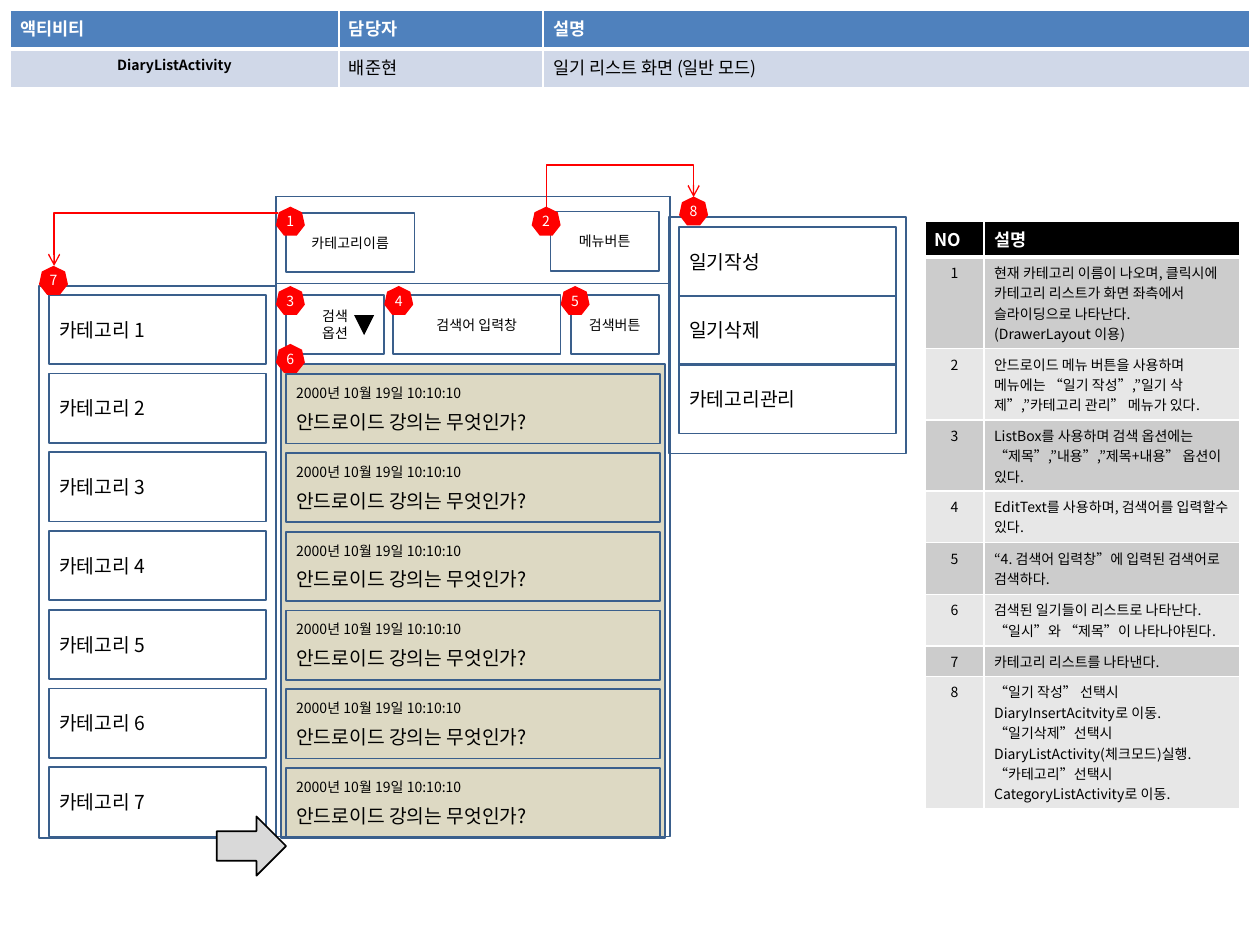
import lxml.etree
import pptx
import pptx.dml.color
import pptx.enum.shapes
import pptx.enum.text
import pptx.oxml.ns
import pptx.util

Inches = pptx.util.Inches
Pt = pptx.util.Pt
Shapes = pptx.enum.shapes.MSO_SHAPE
Align = pptx.enum.text.PP_ALIGN
FONT = "Noto Sans CJK KR"
BORDER = "3A5F8C"
RED = "FF0000"
ROW_PITCH = 0.625


def color(value):
    return pptx.dml.color.RGBColor.from_string(value)


def add_element(parent, tag, **attributes):
    return lxml.etree.SubElement(parent, pptx.oxml.ns.qn(tag), **attributes)


def write_text(paragraph, text, size=8, color_hex="000000", bold=False,
               align=Align.LEFT, space_before=0):
    paragraph.alignment = align
    paragraph.space_before = Pt(space_before)
    run = paragraph.add_run()
    run.text = text
    run.font.size = Pt(size)
    run.font.bold = bold
    run.font.color.rgb = color(color_hex)
    run.font.name = FONT
    add_element(run.font._element, "a:ea", typeface=FONT)


def set_insets(target, horizontal=0.08, vertical=0.04):
    target.margin_left = target.margin_right = Inches(horizontal)
    target.margin_top = target.margin_bottom = Inches(vertical)


def add_preset(slide, kind, left, top, width, height, fill=None, line=None):
    shape = slide.shapes.add_shape(
        kind, Inches(left), Inches(top), Inches(width), Inches(height))
    shape.shadow.inherit = False
    if fill:
        shape.fill.solid()
        shape.fill.fore_color.rgb = color(fill)
    else:
        shape.fill.background()
    if line:
        shape.line.color.rgb = color(line)
        shape.line.width = Pt(1)
    else:
        shape.line.fill.background()
    return shape


def add_frame(slide, left, top, width, height, fill=None):
    return add_preset(slide, Shapes.RECTANGLE, left, top, width, height, fill, BORDER)


def add_box(slide, left, top, width, height, lines, **text_format):
    frame = add_frame(slide, left, top, width, height).text_frame
    frame.word_wrap = True
    frame.vertical_anchor = pptx.enum.text.MSO_ANCHOR.MIDDLE
    set_insets(frame)
    for index, line in enumerate(lines):
        paragraph = frame.add_paragraph() if index else frame.paragraphs[0]
        write_text(paragraph, line, **text_format)
    return frame


def add_badge(slide, left, top, number):
    badge = add_preset(slide, Shapes.HEPTAGON, left, top, 0.23, 0.23, RED)
    frame = badge.text_frame
    frame.word_wrap = False
    frame.vertical_anchor = pptx.enum.text.MSO_ANCHOR.MIDDLE
    set_insets(frame, 0, 0)
    write_text(frame.paragraphs[0], str(number), color_hex="FFFFFF", align=Align.CENTER)


def set_borders(cell, bottom_width):
    properties = cell._tc.get_or_add_tcPr()
    for side in "LRTB":
        width = bottom_width if side == "B" else 1
        line = add_element(properties, f"a:ln{side}", w=str(Pt(width)))
        add_element(add_element(line, "a:solidFill"), "a:srgbClr", val="FFFFFF")


def add_grid(slide, left, top, widths, heights, rows, header_fill, band_fills, cell_format):
    table = slide.shapes.add_table(
        len(rows), len(widths), Inches(left), Inches(top),
        Inches(sum(widths)), Inches(sum(heights))).table
    for column, width in zip(table.columns, widths):
        column.width = Inches(width)
    for row_index, (row, height) in enumerate(zip(rows, heights)):
        table.rows[row_index].height = Inches(height)
        for column_index, text in enumerate(row):
            cell = table.cell(row_index, column_index)
            set_insets(cell)
            set_borders(cell, 1 if row_index else 3)
            cell.fill.solid()
            cell.fill.fore_color.rgb = color(
                band_fills[(row_index - 1) % len(band_fills)] if row_index else header_fill)
            text_format = (cell_format[column_index] if row_index else
                           {"size": 10, "color_hex": "FFFFFF", "bold": True})
            for line_index, line in enumerate(text.split("\n")):
                frame = cell.text_frame
                paragraph = frame.add_paragraph() if line_index else frame.paragraphs[0]
                write_text(paragraph, line, **text_format)


def add_elbow_arrow(slide, start, end, preset, rotation=0, bend=None):
    connector = slide.shapes.add_connector(
        pptx.enum.shapes.MSO_CONNECTOR.ELBOW,
        Inches(start[0]), Inches(start[1]), Inches(end[0]), Inches(end[1]))
    connector.line.color.rgb = color(RED)
    connector.line.width = Pt(0.75)
    add_element(connector.line._get_or_add_ln(), "a:tailEnd", type="arrow")
    properties = connector._element.spPr
    add_element(properties, "a:effectLst")
    geometry = properties.find(pptx.oxml.ns.qn("a:prstGeom"))
    geometry.set("prst", preset)
    if rotation:
        properties.find(pptx.oxml.ns.qn("a:xfrm")).set("rot", str(rotation * 60000))
    if bend:
        adjustments = geometry.find(pptx.oxml.ns.qn("a:avLst"))
        add_element(adjustments, "a:gd", name="adj1", fmla=f"val {round(bend * 100000)}")


def add_tables(slide):
    add_grid(
        slide, 0.08, 0.08, [2.61, 1.62, 5.61], [0.31, 0.31],
        [["액티비티", "담당자", "설명"],
         ["DiaryListActivity", "배준현", "일기 리스트 화면 (일반 모드)"]],
        "4F81BD", ["D0D8E8"],
        [{"bold": True, "align": Align.CENTER}, {"size": 10}, {"size": 10}])
    descriptions = [
        "현재 카테고리 이름이 나오며, 클릭시에 카테고리 리스트가 화면 좌측에서 슬라이딩으로 나타난다. (DrawerLayout 이용)",
        "안드로이드 메뉴 버튼을 사용하며 메뉴에는 “일기 작성”,”일기 삭제”,”카테고리 관리” 메뉴가 있다.",
        "ListBox를 사용하며 검색 옵션에는 “제목”,”내용”,”제목+내용” 옵션이 있다.",
        "EditText를 사용하며, 검색어를 입력할수 있다.",
        "“4. 검색어 입력창”에 입력된 검색어로 검색하다.",
        "검색된 일기들이 리스트로 나타난다.\n“일시”와 “제목”이 나타나야된다.",
        "카테고리 리스트를 나타낸다.",
        "“일기 작성” 선택시 DiaryInsertAcitvity로 이동.\n"
        "“일기삭제”선택시 DiaryListActivity(체크모드)실행.\n"
        "“카테고리”선택시 CategoryListActivity로 이동.",
    ]
    numbered = [[str(number), text] for number, text in enumerate(descriptions, 1)]
    add_grid(
        slide, 7.34, 1.76, [0.47, 2.03], [0.27] + [0.41] * 6 + [0.2] * 2,
        [["NO", "설명"]] + numbered, "000000", ["CCCCCC", "E7E7E7"],
        [{"align": Align.CENTER}, {}])


def add_diary_screen(slide):
    add_frame(slide, 2.19, 1.56, 3.13, 5.08)
    add_frame(slide, 2.19, 1.56, 3.13, 0.69)
    for left, top, width, lines in [
            (2.27, 1.69, 1.02, ["카테고리이름"]), (4.37, 1.68, 0.86, ["메뉴버튼"]),
            (3.12, 2.34, 1.33, ["검색어 입력창"]), (4.53, 2.34, 0.7, ["검색버튼"]),
            (2.27, 2.34, 0.78, ["검색", "옵션"])]:
        add_box(slide, left, top, width, 0.47, lines, align=Align.CENTER)
    for index in range(6):
        frame = add_box(slide, 2.27, 2.97 + index * ROW_PITCH, 2.97, 0.55,
                        ["2000년 10월 19일 10:10:10"])
        write_text(frame.add_paragraph(), "안드로이드 강의는 무엇인가?", size=11, space_before=5)
    triangle = add_preset(slide, Shapes.ISOSCELES_TRIANGLE, 2.81, 2.5, 0.16, 0.16, "000000")
    triangle.rotation = 180


def add_category_drawer(slide):
    add_frame(slide, 0.31, 2.27, 1.88, 4.38)
    for index in range(7):
        add_box(slide, 0.39, 2.34 + index * ROW_PITCH, 1.72, 0.55,
                [f"카테고리 {index + 1}"], size=11)
    add_preset(slide, Shapes.RIGHT_ARROW, 1.72, 6.48, 0.55, 0.47, "D9D9D9", "000000")


def add_option_menu(slide):
    add_frame(slide, 5.31, 1.72, 1.88, 1.88)
    for index, label in enumerate(["일기작성", "일기삭제", "카테고리관리"]):
        add_box(slide, 5.39, 1.8 + index * 0.545, 1.72, 0.55, [label], size=11)


def main():
    presentation = pptx.Presentation()
    presentation.slide_width = Inches(10)
    presentation.slide_height = Inches(7.5)
    slide = presentation.slides.add_slide(presentation.slide_layouts[6])
    add_frame(slide, 2.23, 2.89, 3.05, 3.76, "DDD9C3")
    add_tables(slide)
    add_diary_screen(slide)
    add_category_drawer(slide)
    add_option_menu(slide)
    badge_positions = [(2.19, 1.64), (4.22, 1.64), (2.19, 2.27), (3.05, 2.27),
                       (4.45, 2.27), (2.19, 2.73), (0.31, 2.11), (5.39, 1.56)]
    for number, (left, top) in enumerate(badge_positions, 1):
        add_badge(slide, left, top, number)
    add_elbow_arrow(slide, (2.21, 1.69), (0.43, 2.11), "bentConnector2")
    add_elbow_arrow(slide, (4.96, 2.19), (4.88, 1.02), "bentConnector3", rotation=90, bend=4.2)
    presentation.save("out.pptx")


if __name__ == "__main__":
    main()
